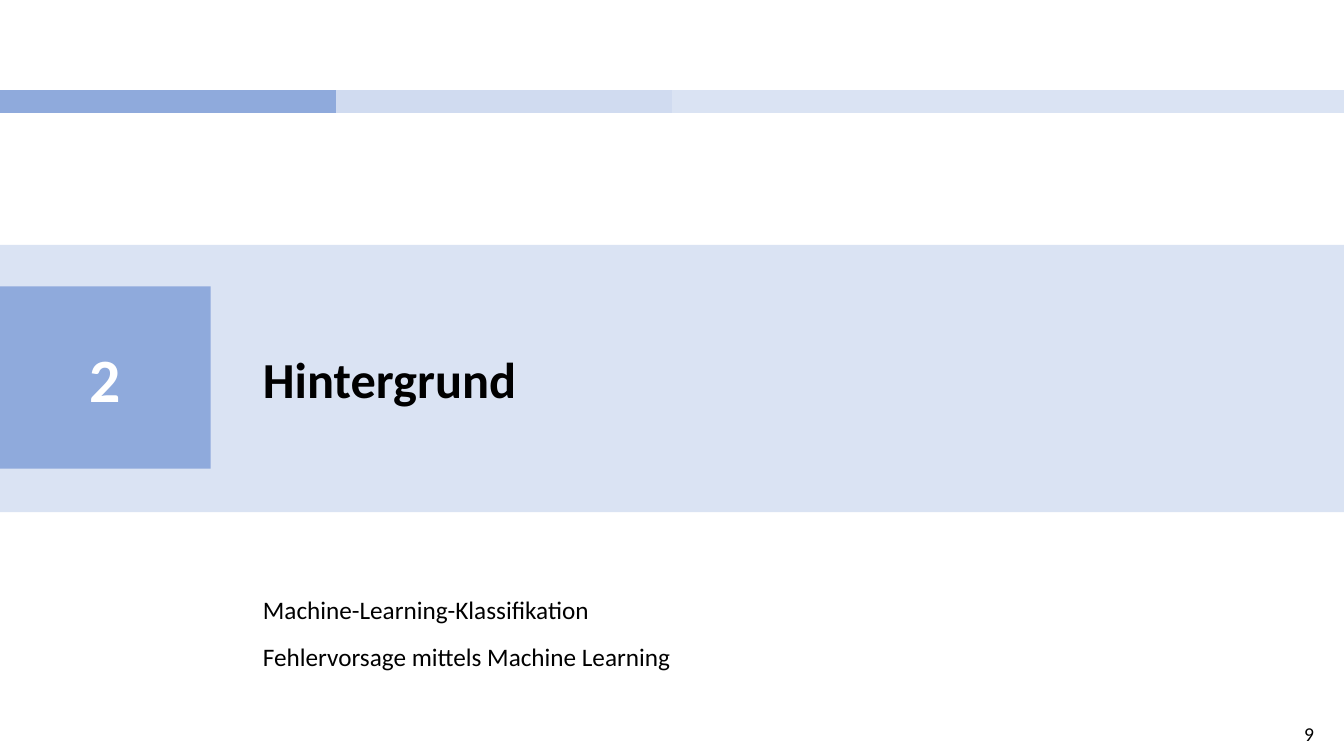
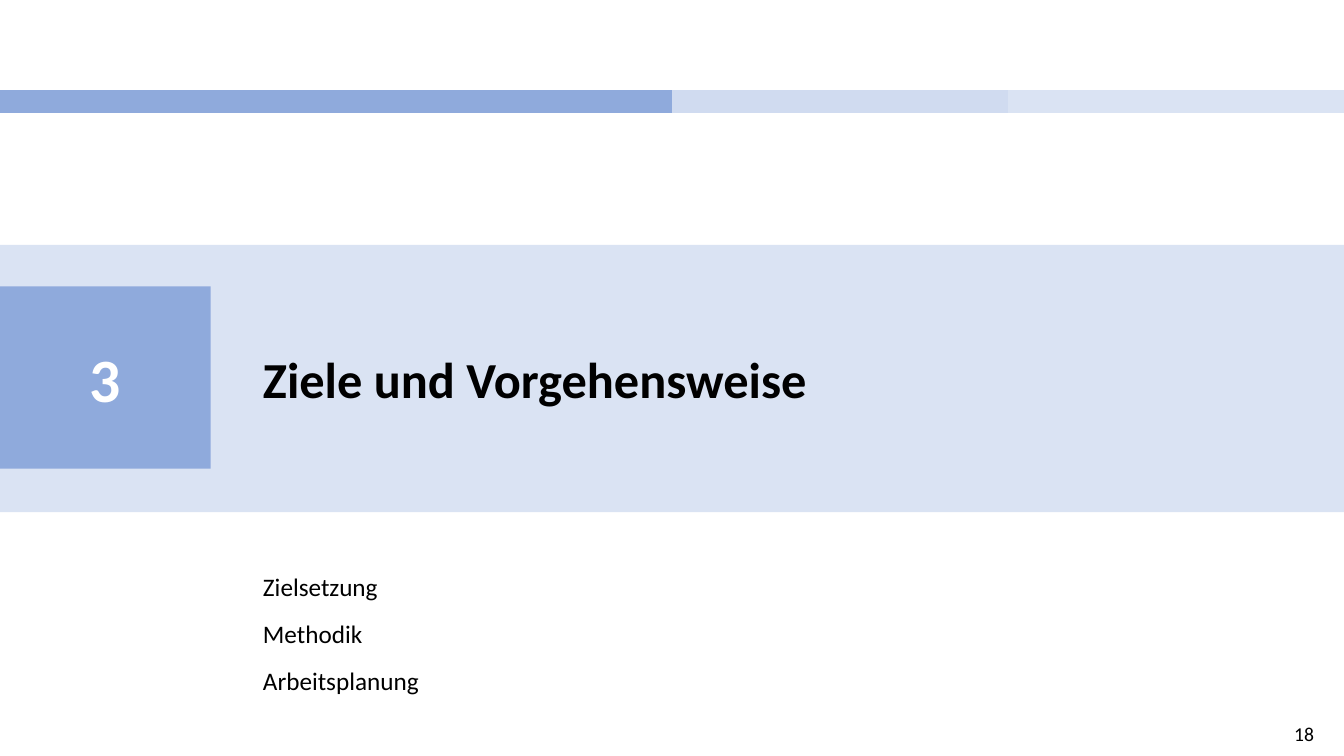
"""Builds two section divider slides with a progress bar."""
from lxml import etree
from pptx import Presentation
from pptx.dml.color import RGBColor
from pptx.enum import shapes, text
from pptx.oxml.ns import qn
from pptx.util import Inches, Pt

HUES = {"done": "8FAADC", "now": "D0DBF0", "pale": "DAE3F3", "ink": "000000", "white": "FFFFFF"}
FONT = "Calibri"
PLAIN = "{2D5ABB26-0587-4C30-8999-92F81FD0307C}"
WIDE, HIGH = 13.33, 7.5
PARTS = [1, 2, 3, 1]
PAGES = [
    (2, "Hintergrund", ["Machine-Learning-Klassifikation", "Fehlervorsage mittels Machine Learning"], 9),
    (3, "Ziele und Vorgehensweise", ["Zielsetzung", "Methodik", "Arbeitsplanung"], 18),
]


def paint(item, hue):
    item.fill.solid()
    item.fill.fore_color.rgb = RGBColor.from_string(HUES[hue])


def write(shape, lines, size, hue="ink", bold=False, align="LEFT", anchor="TOP", after=0):
    frame = shape.text_frame
    frame.word_wrap = True
    frame.vertical_anchor = getattr(text.MSO_ANCHOR, anchor)
    for i, line in enumerate(lines):
        para = frame.paragraphs[0] if i == 0 else frame.add_paragraph()
        para.alignment = getattr(text.PP_ALIGN, align)
        para.space_after = Pt(after)
        run = para.add_run()
        run.text = line
        run.font.name, run.font.size, run.font.bold = FONT, Pt(size), bold
        run.font.color.rgb = RGBColor.from_string(HUES[hue])


deck = Presentation()
deck.slide_width, deck.slide_height = Inches(WIDE), Inches(HIGH)

for number, title, topics, page in PAGES:
    slide = deck.slides.add_slide(deck.slide_layouts[6])
    pool = slide.shapes

    for top, width, height, hue in [(2.43, WIDE, 2.65, "pale"), (2.84, 2.09, 1.81, "done")]:
        block = pool.add_shape(shapes.MSO_SHAPE.RECTANGLE, 0, Inches(top), Inches(width), Inches(height))
        block.shadow.inherit = False
        block.line.fill.background()
        paint(block, hue)
    write(block, [str(number)], 44, hue="white", bold=True, align="CENTER", anchor="MIDDLE")

    head = pool.add_textbox(Inches(2.51), Inches(3.4), Inches(10), Inches(0.71))
    write(head, [title], 36, bold=True)

    tall = 0.41 + 0.47 * (len(topics) - 1)
    body = pool.add_textbox(Inches(2.51), Inches(6.29 - tall / 2), Inches(8), Inches(tall))
    write(body, topics, 18, after=12)

    foot = pool.add_textbox(Inches(9.54), Inches(7.11), Inches(3.59), Inches(0.34))
    write(foot, [str(page)], 14, align="RIGHT", anchor="MIDDLE")

    grid = pool.add_table(1, sum(PARTS), 0, Inches(0.89), Inches(WIDE), Inches(0.23)).table
    grid.first_row = grid.horz_banding = False
    grid._tbl.tblPr.find(qn("a:tableStyleId")).text = PLAIN
    owners = [part for part, count in enumerate(PARTS, 1) for _ in range(count)]
    for col, part in enumerate(owners):
        grid.columns[col].width = Inches(WIDE / len(PARTS) / PARTS[part - 1])
        cell = grid.cell(0, col)
        cell.margin_left = cell.margin_right = cell.margin_top = cell.margin_bottom = 0
        paint(cell, "done" if part < number else "now" if part == number else "pale")
        etree.SubElement(cell.text_frame.paragraphs[0]._p, qn("a:endParaRPr"), sz="800")

deck.save("out.pptx")
